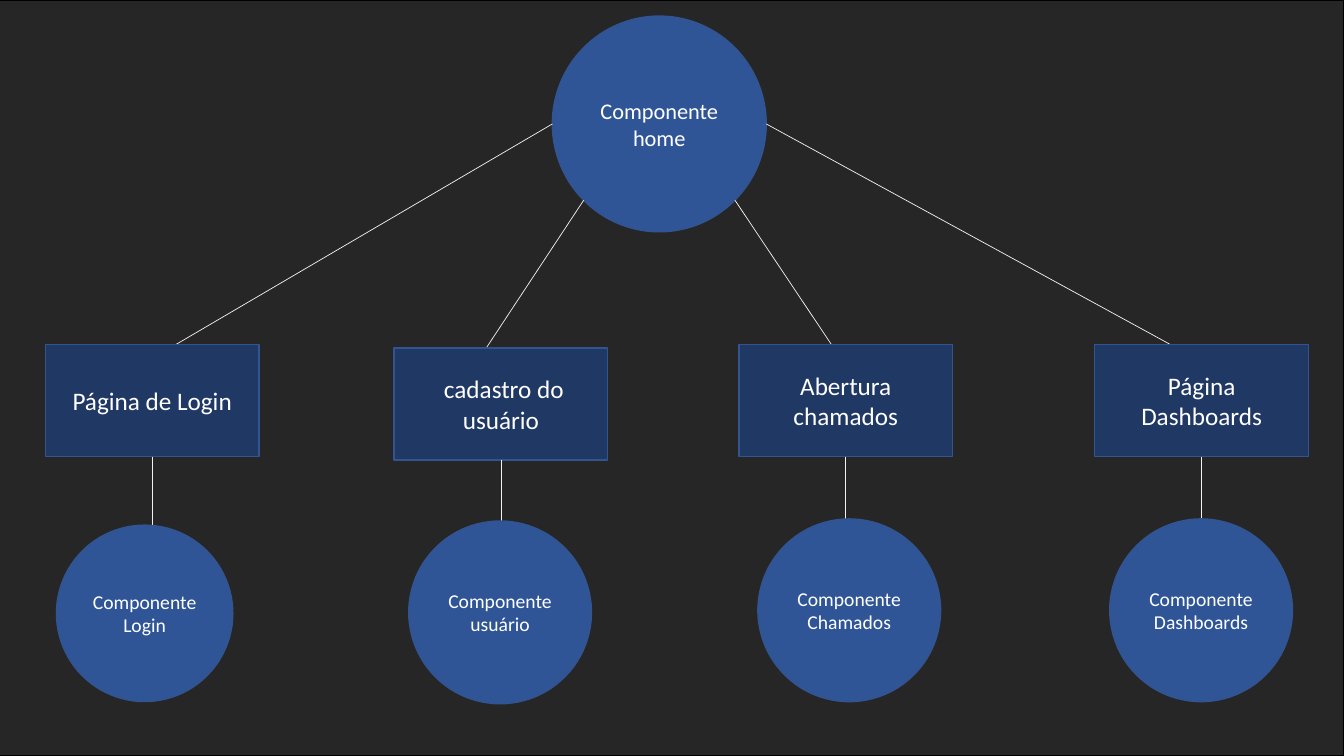
import math
import pptx
import pptx.util
import pptx.dml.color
import pptx.enum.shapes
import pptx.enum.text
import pptx.oxml

Pt = pptx.util.Pt
SHAPE = pptx.enum.shapes.MSO_SHAPE

# Content: page box, then the component below it
# Lengths in points; "tip" is where the link from home ends, "end" the lower link
WIDE, HIGH = 960, 540
HOME = ("Componente home", 394.56, 11.5, 152.8, 154.1)
BOX = (152.64, 79.9)
PAGES = [
    dict(page="Página de Login", left=32.4, top=246.2, angle=180, tip=(109.4, 255.6),
         part="Componente Login", disc=(40.3, 375.1, 126), end=397.4),
    dict(page=" cadastro do usuário", left=281.5, top=248.6, angle=135, tip=(342.7, 255.6),
         part="Componente usuário", disc=(292, 372.2, 130.5), end=394.6),
    dict(page="Abertura chamados", left=527.8, top=246.2, angle=45, tip=(604.1, 261.4),
         part="Componente Chamados", disc=(541.4, 370.7, 130.5), end=392.4),
    dict(page="Página Dashboards", left=782, top=246.2, angle=0, tip=(864, 261.4),
         part="Componente Dashboards", disc=(792.7, 370.7, 130.5), end=389.5),
]

THEME = dict(font="Calibri", back="262626", frame="000000", disc="2F5597",
             box="203864", edge="325491", text="FFFFFF", link="F2F2F2",
             home_size=16, page_size=18, part_size=14, edge_width=1, link_width=0.5)

deck = pptx.Presentation()
deck.slide_width, deck.slide_height = Pt(WIDE), Pt(HIGH)
slide = deck.slides.add_slide(deck.slide_layouts[6])


def color(name):
    return pptx.dml.color.RGBColor.from_string(THEME[name])


def add_node(kind, left, top, width, height, fill, edge="edge", text="", size=None):
    node = slide.shapes.add_shape(kind, Pt(left), Pt(top), Pt(width), Pt(height))
    node.shadow.inherit = False
    node.fill.solid()
    node.fill.fore_color.rgb = color(fill)
    node.line.color.rgb = color(edge)
    node.line.width = Pt(THEME["edge_width"])
    if text:
        frame = node.text_frame
        frame.word_wrap = True
        frame.vertical_anchor = pptx.enum.text.MSO_ANCHOR.MIDDLE
        para = frame.paragraphs[0]
        para.text = text
        para.alignment = pptx.enum.text.PP_ALIGN.CENTER
        para.font.name = THEME["font"]
        para.font.size = Pt(THEME[size])
        para.font.color.rgb = color("text")


def add_link(start, end):
    straight = pptx.enum.shapes.MSO_CONNECTOR.STRAIGHT
    link = slide.shapes.add_connector(straight, *(Pt(n) for n in (*start, *end)))
    link.line.color.rgb = color("link")
    link.line.width = Pt(THEME["link_width"])
    tail = pptx.oxml.parse_xml(
        '<a:tailEnd xmlns:a="http://schemas.openxmlformats.org/drawingml/2006/main"'
        ' type="triangle"/>')
    link.line._get_or_add_ln().append(tail)
    props = link._element.spPr
    props.append(props.makeelement(pptx.oxml.ns.qn("a:effectLst"), {}))


# Background panel
add_node(SHAPE.RECTANGLE, -0.5, 0, WIDE, HIGH, "back", "frame")

# Home circle
label, left, top, width, height = HOME
add_node(SHAPE.OVAL, left, top, width, height, "disc", text=label, size="home_size")
mid_x, mid_y = left + width / 2, top + height / 2

# Page branches: link from home, box, lower link, component circle
for item in PAGES:
    turn = math.radians(item["angle"])
    rim = (mid_x + width / 2 * math.cos(turn), mid_y + height / 2 * math.sin(turn))
    add_link(rim, item["tip"])
    add_node(SHAPE.RECTANGLE, item["left"], item["top"], *BOX, "box",
             text=item["page"], size="page_size")
    center = item["left"] + BOX[0] / 2
    add_link((center, item["top"] + BOX[1]), (center, item["end"]))
    disc_x, disc_y, side = item["disc"]
    add_node(SHAPE.OVAL, disc_x, disc_y, side, side, "disc",
             text=item["part"], size="part_size")

deck.save("out.pptx")
